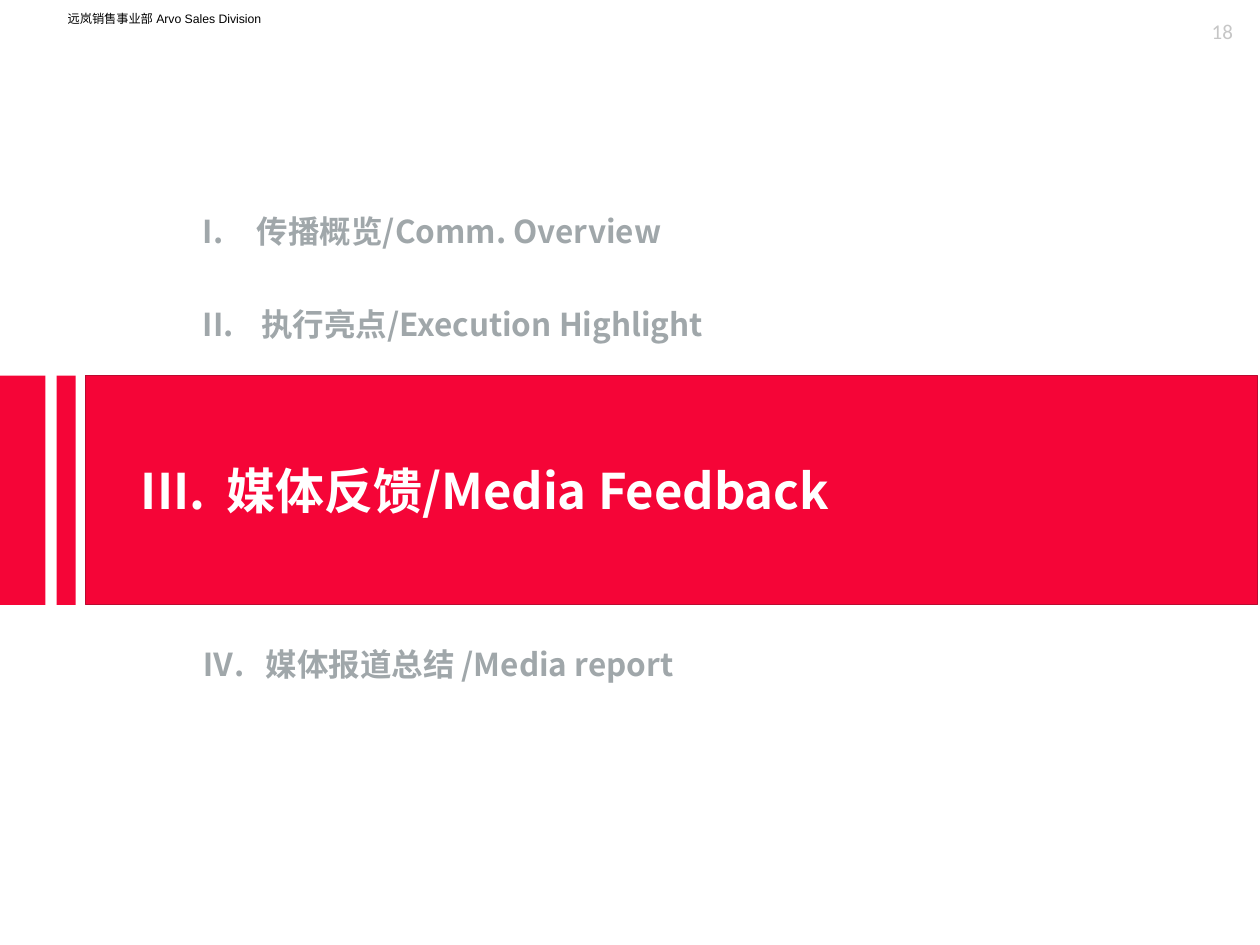
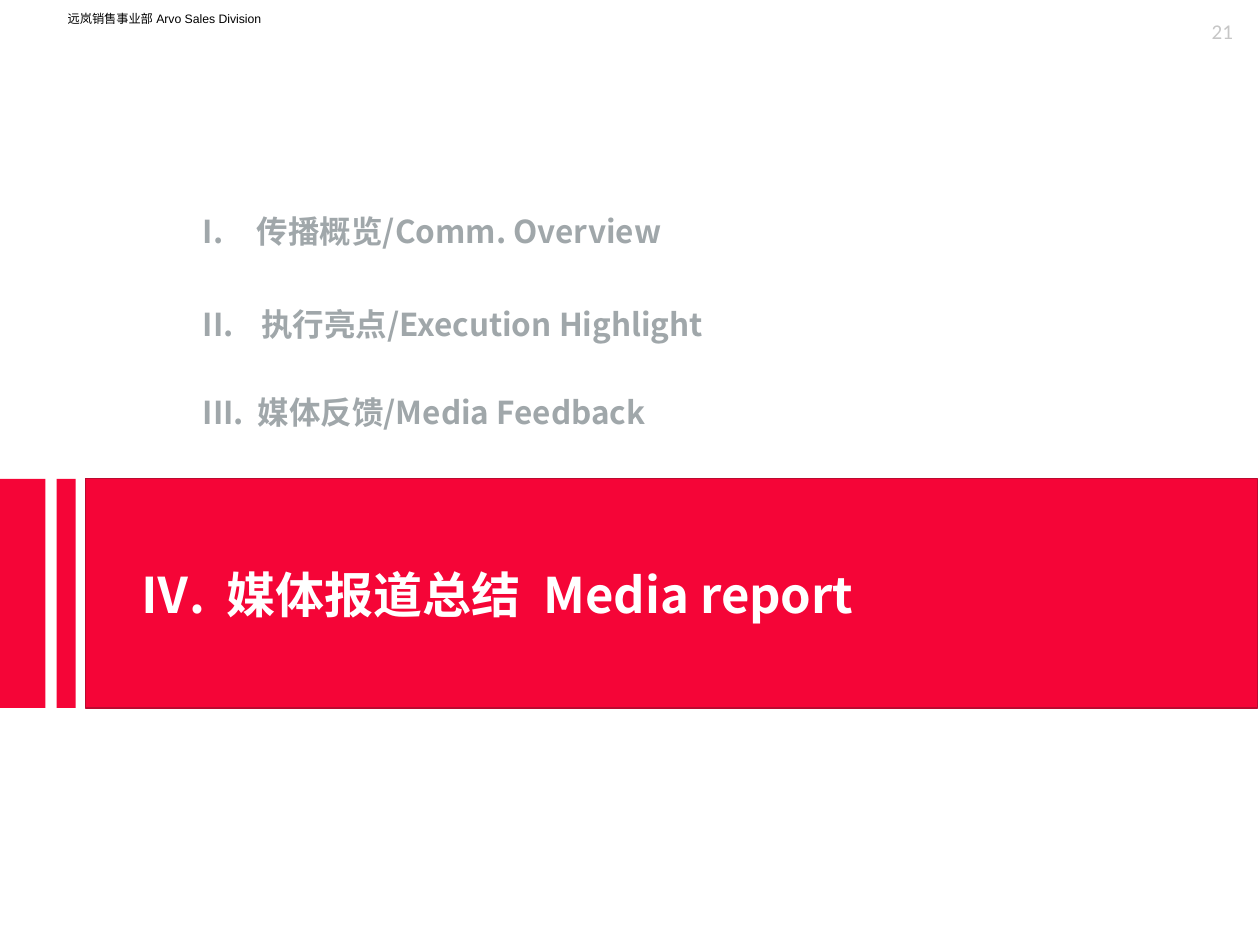
from dataclasses import dataclass
from typing import NamedTuple

from lxml.etree import SubElement
from pptx import Presentation
from pptx.dml.color import RGBColor as Rgb
from pptx.enum.shapes import MSO_SHAPE as Kind
from pptx.enum.text import MSO_ANCHOR as Anchor, PP_ALIGN as Align
from pptx.oxml.ns import qn
from pptx.util import Pt

RED, EDGE, GREY = "F50537", "BB0A30", "A0A7AA"
WHITE, BLACK, PALE = "FFFFFF", "000000", "C6C6C6"
SANS = "Noto Sans CJK SC"
BAND_H = 131
BARS = [(0, 26), (32.4, 10.8), (49, 669.6)]


class Box(NamedTuple):
    """Place and size in points."""
    left: float
    top: float
    width: float
    height: float


class Inset(NamedTuple):
    """Text margins in points."""
    left: float
    top: float
    right: float
    bottom: float


class Style(NamedTuple):
    """Look of a run."""
    size: float
    font: str
    color: str
    bold: bool = False


@dataclass
class Entry:
    """Numbered agenda line; hang is the room for its number."""
    number: str
    words: list[str]
    hang: float
    box: Box | None = None
    space: float | None = None


@dataclass
class Page:
    """Divider slide with one active chapter."""
    number: str
    top: float
    active: Entry
    other: Entry


HEAD = Style(7, "Arial", BLACK)
COUNT = Style(12, "Calibri", PALE)
ITEM = Style(18, SANS, GREY, True)
TITLE = Style(28, SANS, WHITE, True)

SHARED = [
    Entry("I.", ["传播概览/Comm. Overview"], 31, Box(108.7, 111.6, 652, 41)),
    Entry("II.", ["执行亮点/Execution Highlight"], 33.5, Box(108.7, 162.7, 652, 44.6)),
]
PAGES = [
    Page("18", 214.6, Entry("III.", ["媒体反馈/Media Feedback"], 49),
         Entry("Ⅳ.", ["媒体报道总结 /Media report"], 36, Box(108.7, 351.4, 435.6, 44.6), 1.5)),
    Page("21", 273.6, Entry("Ⅳ.", ["媒体报道总结", " ", "Media report"], 49),
         Entry("III.", ["媒体反馈/Media Feedback"], 31.5, Box(108.7, 207.4, 435.6, 44.6), 1.5)),
]


def paint(form, color: str) -> None:
    """Set a fill or font colour from a hex string."""
    form.rgb = Rgb.from_string(color)


def add_run(para, text: str, style: Style):
    """Add one styled run."""
    run = para.add_run()
    run.text = text
    font = run.font
    font.size, font.bold, font.name = Pt(style.size), style.bold, style.font
    paint(font.color, style.color)
    SubElement(font._element, qn("a:ea"), typeface=style.font)
    return run


def add_box(slide, box: Box):
    """Add a wrapped text box and return its frame."""
    frame = slide.shapes.add_textbox(*map(Pt, box)).text_frame
    frame.word_wrap = True
    frame.vertical_anchor = Anchor.MIDDLE
    return frame


def add_label(slide, box: Box, text: str, style: Style, inset: Inset) -> None:
    """Add a centred label with its own margins."""
    frame = add_box(slide, box)
    (frame.margin_left, frame.margin_top,
     frame.margin_right, frame.margin_bottom) = map(Pt, inset)
    para = frame.paragraphs[0]
    para.alignment = Align.CENTER
    add_run(para, text, style)


def add_entry(frame, entry: Entry, style: Style, start: float = 0) -> None:
    """Write a number and its text on a hanging indent."""
    para = frame.paragraphs[0]
    para.alignment = Align.LEFT
    props = para._p.get_or_add_pPr()
    props.set("marL", str(Pt(start + entry.hang)))
    props.set("indent", str(-Pt(entry.hang)))
    if entry.space:
        para.line_spacing = entry.space
    add_run(para, f"{entry.number}\t", style)
    for word in entry.words:
        run = add_run(para, word, style)
        if word == " ":
            run.font._element.set("spc", "700")


def add_band(slide, top: float, entry: Entry) -> None:
    """Draw the red bars and write the active chapter on the widest."""
    for left, width in BARS:
        bar = slide.shapes.add_shape(
            Kind.RECTANGLE, *map(Pt, Box(left, top, width, BAND_H)))
        bar.shadow.inherit = False
        bar.fill.solid()
        paint(bar.fill.fore_color, RED)
        bar.line.fill.background()
    bar.line.width = Pt(0.75)
    paint(bar.line.color, EDGE)
    frame = bar.text_frame
    frame.word_wrap = True
    frame.vertical_anchor = Anchor.MIDDLE
    add_entry(frame, entry, TITLE, 24.5)


def add_page(deck, page: Page) -> None:
    """Build one divider slide."""
    slide = deck.slides.add_slide(deck.slide_layouts[6])
    add_label(slide, Box(0, 6.5, 188, 8.6), "远岚销售事业部 Arvo Sales Division",
              HEAD, Inset(0, 0, 0, 0))
    add_label(slide, Box(678.2, 0, 44.6, 28.8), page.number, COUNT, Inset(5, 7, 9, 0))
    add_band(slide, page.top, page.active)
    for entry in [*SHARED, page.other]:
        add_entry(add_box(slide, entry.box), entry, ITEM)


def main() -> None:
    """Build and save the deck."""
    deck = Presentation()
    deck.slide_width, deck.slide_height = Pt(720), Pt(540)
    for page in PAGES:
        add_page(deck, page)
    deck.save("out.pptx")


if __name__ == "__main__":
    main()
